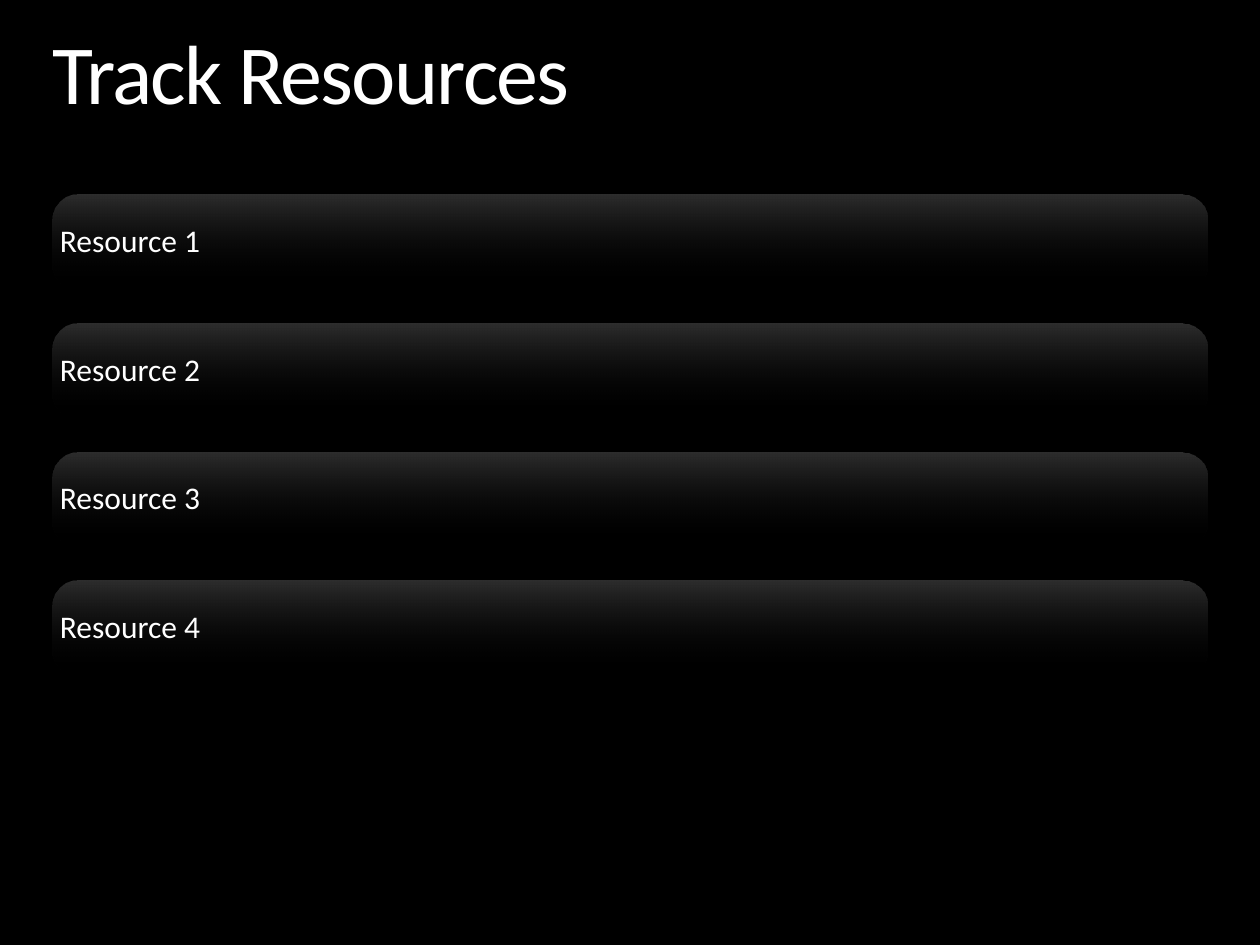
from lxml.etree import SubElement
from pptx import Presentation
from pptx.dml.color import RGBColor
from pptx.enum.shapes import MSO_SHAPE
from pptx.enum.text import MSO_ANCHOR, MSO_AUTO_SIZE, PP_ALIGN
from pptx.oxml.ns import qn
from pptx.util import Pt

TITLE = "Track Resources"
RESOURCES = ["Resource 1", "Resource 2", "Resource 3", "Resource 4"]
GRADIENT = [("FFFFFF", 18), ("000000", 0)]
LEFT, WIDTH = 30, 660
TITLE_TOP, TITLE_HEIGHT = 18, 52.5
BAR_TOP, BAR_HEIGHT, BAR_STEP = 111.4, 54, 73.5
FRAME = {"margin_left": 0, "margin_top": 0, "margin_right": 0,
         "margin_bottom": 0, "word_wrap": True,
         "auto_size": MSO_AUTO_SIZE.NONE}


def rgb(value):
    return RGBColor.from_string(value)


def set_all(target, values):
    for name, value in values.items():
        setattr(target, name, value)


def write(shape, text, size, anchor):
    tf = shape.text_frame
    set_all(tf, FRAME | {"vertical_anchor": anchor})
    p = tf.paragraphs[0]
    set_all(p, {"alignment": PP_ALIGN.LEFT, "line_spacing": 0.9})
    r = p.add_run()
    r.text = text
    set_all(r.font, {"name": "Calibri", "size": Pt(size)})
    r.font.color.rgb = rgb("FFFFFF")
    return r


def fade(shape):
    shape.fill.gradient()
    shape.fill.gradient_angle = 270
    for stop, (color, _) in zip(shape.fill.gradient_stops, GRADIENT):
        stop.color.rgb = rgb(color)
    stops = shape.element.spPr.iter(qn("a:gs"))
    for gs, (_, opacity) in zip(stops, GRADIENT):
        SubElement(gs[0], qn("a:alpha"), val=str(opacity * 1000))


prs = Presentation()
set_all(prs, {"slide_width": Pt(720), "slide_height": Pt(540)})
s = prs.slides.add_slide(prs.slide_layouts[5])
s.background.fill.solid()
s.background.fill.fore_color.rgb = rgb("000000")

title = s.shapes.title
set_all(title, {"left": Pt(LEFT), "top": Pt(TITLE_TOP),
                "width": Pt(WIDTH), "height": Pt(TITLE_HEIGHT)})
r = write(title, TITLE, 48, MSO_ANCHOR.TOP)
r.font._element.set("spc", "-100")

for i, resource in enumerate(RESOURCES):
    bar = s.shapes.add_shape(MSO_SHAPE.ROUNDED_RECTANGLE, Pt(LEFT),
                             Pt(BAR_TOP + i * BAR_STEP), Pt(WIDTH), Pt(BAR_HEIGHT))
    bar.adjustments[0] = 0.27
    bar.shadow.inherit = False
    bar.line.fill.background()
    fade(bar)
    write(bar, resource, 18, MSO_ANCHOR.MIDDLE)

prs.save("out.pptx")
